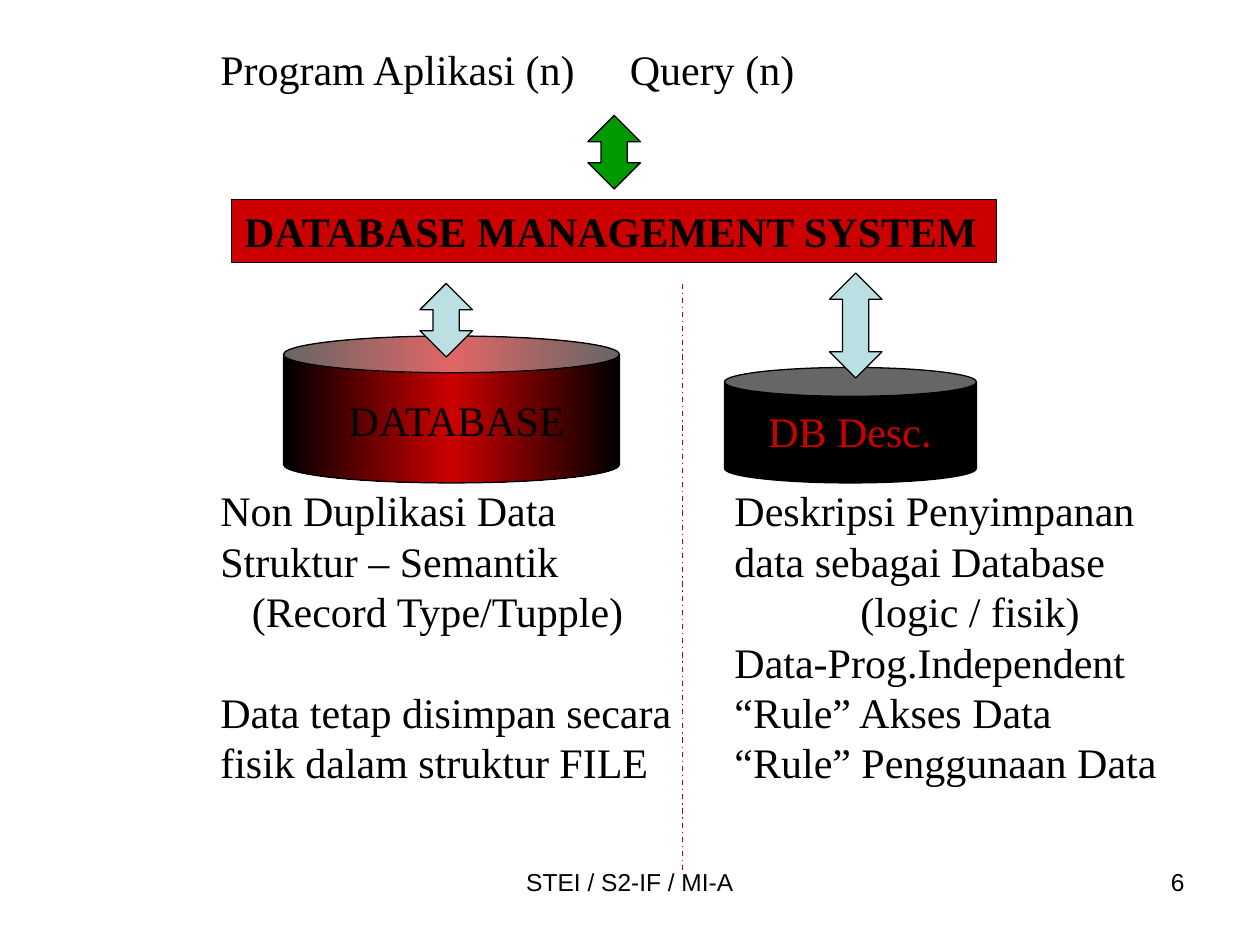
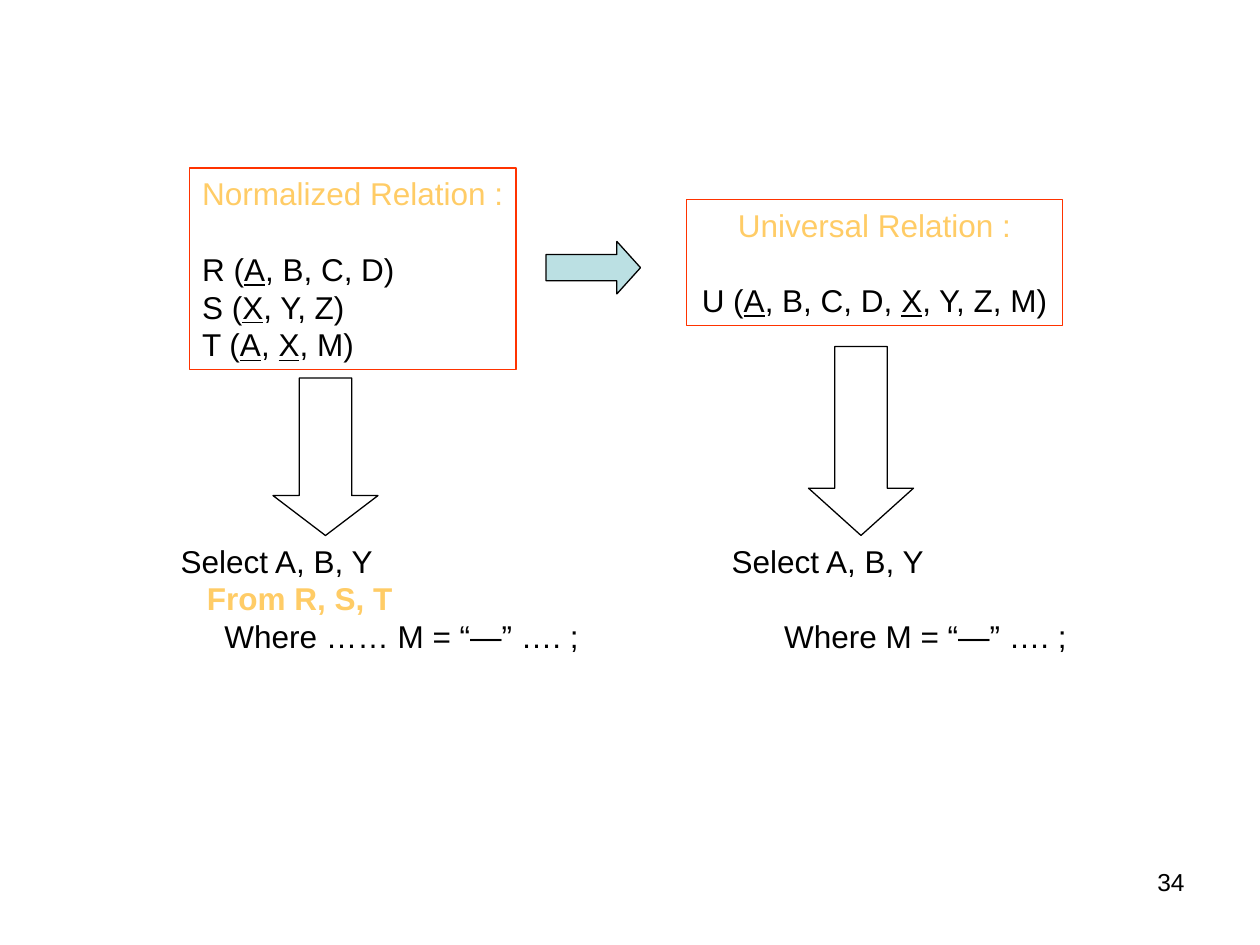
from copy import deepcopy
from pptx import Presentation
from pptx.dml.color import RGBColor
from pptx.enum.dml import MSO_LINE
from pptx.enum.shapes import MSO_CONNECTOR, MSO_SHAPE
from pptx.enum.text import MSO_ANCHOR, MSO_AUTO_SIZE, PP_ALIGN
from pptx.oxml.ns import qn
from pptx.oxml.xmlchemy import OxmlElement
from pptx.util import Pt

BLACK = RGBColor(0, 0, 0)
RED = RGBColor(0xCC, 0, 0)
GREEN = RGBColor(0, 0x99, 0)
AQUA = RGBColor(0xBB, 0xE0, 0xE3)
ORANGE = RGBColor(0xFF, 0x33, 0)
GOLD = RGBColor(0xFF, 0xCC, 0x66)
LEFT, MID, RIGHT = PP_ALIGN.LEFT, PP_ALIGN.CENTER, PP_ALIGN.RIGHT
TOP = MSO_ANCHOR.TOP
FIXED, GROW = MSO_AUTO_SIZE.NONE, MSO_AUTO_SIZE.SHAPE_TO_FIT_TEXT
RECT, CAN = MSO_SHAPE.RECTANGLE, MSO_SHAPE.CAN
BOTH, NEXT, DOWN = MSO_SHAPE.UP_DOWN_ARROW, MSO_SHAPE.RIGHT_ARROW, MSO_SHAPE.DOWN_ARROW
DASH, STRAIGHT = MSO_LINE.DASH_DOT, MSO_CONNECTOR.STRAIGHT
SERIF, SANS = ("Times New Roman", 24), ("Arial", 18)
SMALL = ("Arial", 14)
LEAD = 1.2

NOTES = [
    ((118.8, 273.6, 272.2, 180), [
        {"text": "Non Duplikasi Data"},
        {"text": "Struktur – Semantik"},
        {"text": "(Record Type/Tupple)", "indent": 18},
        {"text": "Data tetap disimpan secara", "skip": 1},
        {"text": "fisik dalam struktur FILE"}]),
    ((412.6, 273.6, 255.6, 180), [
        {"text": "Deskripsi Penyimpanan"},
        {"text": "data sebagai Database"},
        {"text": "(logic / fisik)", "indent": 72},
        {"text": "Data-Prog.Independent"},
        {"text": "“Rule” Akses Data"},
        {"text": "“Rule” Penggunaan Data"}]),
    ((118.8, 21.6, 218.2, 36), [{"text": "Program Aplikasi (n)"}]),
    ((352.8, 21.6, 109, 36), [{"text": "Query (n)"}]),
]
STORES = [
    ((162, 192, 192, 84), (192.2, 222, 142.6, 36), "DATABASE", BLACK),
    ((414, 210, 144, 66), (432, 228, 108, 36), "DB Desc.", RED),
]
FLOWS = [
    ((336, 66, 30, 42), 0.28, GREEN),
    ((240, 162, 30, 42), 0.28, AQUA),
    ((474, 156, 30, 60), 0.4, AQUA),
]
TABLES = [
    ((108.4, 96, 186.5, 115.2), LEFT, [
        {"text": "Normalized Relation :", "color": GOLD},
        {"text": "R (_A_, B, C, D)", "skip": 1},
        {"text": "S (_X_, Y, Z)"},
        {"text": "T (_A_, _X_, M)"}]),
    ((392.4, 114, 214.6, 72), MID, [
        {"text": "Universal Relation :", "color": GOLD},
        {"text": "U (_A_, B, C, D, _X_, Y, Z, M)", "skip": 1}]),
]
QUERIES = [
    ((96.2, 306, 241.9, 72), [
        {"text": "Select A, B, Y"},
        {"text": "From R, S, T", "indent": 15, "color": GOLD, "bold": True},
        {"text": "Where …… M = “—” …. ;", "indent": 25}]),
    ((406, 306, 211, 72), [
        {"text": "Select A, B, Y", "indent": 5},
        {"text": "Where M = “—” …. ;", "indent": 35, "skip": 1}]),
]
DROPS = [((156, 216, 60, 90), 0.38), ((462, 198, 60, 108), 0.45)]


def write(shape, lines, font, align=LEFT, wrap=False):
    name, size = font
    frame = shape.text_frame
    frame.word_wrap = wrap
    frame.auto_size = FIXED if wrap else GROW
    frame.vertical_anchor = TOP
    for i, line in enumerate(lines):
        para = frame.add_paragraph() if i else frame.paragraphs[0]
        para.alignment = align
        para.line_spacing = Pt(LEAD * size)
        para.space_before = Pt(LEAD * size * line.get("skip", 0))
        props = para._p.get_or_add_pPr()
        props.set("marL", str(Pt(line.get("indent", 0))))
        props.set("indent", "0")
        for k, part in enumerate(line["text"].split("_")):
            run = para.add_run()
            run.text = part
            run.font.name, run.font.size = name, Pt(size)
            run.font.bold = line.get("bold", False)
            run.font.underline = k % 2 == 1
            run.font.color.rgb = line.get("color", BLACK)


def label(slide, box, lines, font, align=LEFT, wrap=False):
    shape = slide.shapes.add_textbox(*map(Pt, box))
    write(shape, lines, font, align, wrap)


def draw(slide, kind, box, fill=None, edge=BLACK, adjust=()):
    shape = slide.shapes.add_shape(kind, *map(Pt, box))
    shape.shadow.inherit = False
    for i, value in enumerate(adjust):
        shape.adjustments[i] = value
    if fill is None:
        shape.fill.background()
    else:
        shape.fill.solid()
        shape.fill.fore_color.rgb = fill
    shape.line.color.rgb = edge
    shape.line.width = Pt(0.75)
    return shape


def shade(shape, colors):
    shape.fill.gradient()
    shape.fill.gradient_angle = 0
    stops = shape._element.spPr.find(".//" + qn("a:gsLst"))
    while len(stops) < len(colors):
        stops.append(deepcopy(stops[0]))
    for i, (stop, color) in enumerate(zip(shape.fill.gradient_stops, colors)):
        stop.position = i / (len(colors) - 1)
        stop.color.rgb = color


def divide(slide, x, top, end):
    line = slide.shapes.add_connector(STRAIGHT, Pt(x), Pt(top), Pt(x), Pt(end))
    line.line.color.rgb = RED
    line.line.width = Pt(0.75)
    line.line.dash_style = DASH
    line._element.spPr.append(OxmlElement("a:effectLst"))


def start(deck, number, footer=None):
    slide = deck.slides.add_slide(deck.slide_layouts[6])
    if footer:
        label(slide, (246, 492, 228, 37.5), [{"text": footer}], SMALL, MID, True)
    label(slide, (516, 492, 168, 37.5), [{"text": number}], SMALL, RIGHT, True)
    return slide


def system(deck):
    slide = start(deck, "6", "STEI / S2-IF / MI-A")
    for body, box, text, color in STORES:
        can = draw(slide, CAN, body, BLACK, adjust=(0.25,))
        if color == BLACK:
            shade(can, (BLACK, RED, BLACK))
        label(slide, box, [{"text": text, "color": color}], SERIF)
    bar = draw(slide, RECT, (132.5, 114, 437, 36), RED)
    write(bar, [{"text": "DATABASE MANAGEMENT SYSTEM", "bold": True}], SERIF)
    for box, head, fill in FLOWS:
        draw(slide, BOTH, box, fill, adjust=(head, 0.5))
    divide(slide, 390, 162, 498)
    for box, lines in NOTES:
        label(slide, box, lines, SERIF)


def relations(deck):
    slide = start(deck, "34")
    for box, align, lines in TABLES:
        write(draw(slide, RECT, box, edge=ORANGE), lines, SANS, align)
    draw(slide, NEXT, (312, 138, 54, 30), AQUA, adjust=(0.5, 0.45))
    for box, lines in QUERIES:
        label(slide, box, lines, SANS)
    for box, head in DROPS:
        draw(slide, DOWN, box, adjust=(0.5, head))


def main():
    deck = Presentation()
    deck.slide_width, deck.slide_height = Pt(720), Pt(540)
    system(deck)
    relations(deck)
    deck.save("out.pptx")


if __name__ == "__main__":
    main()
